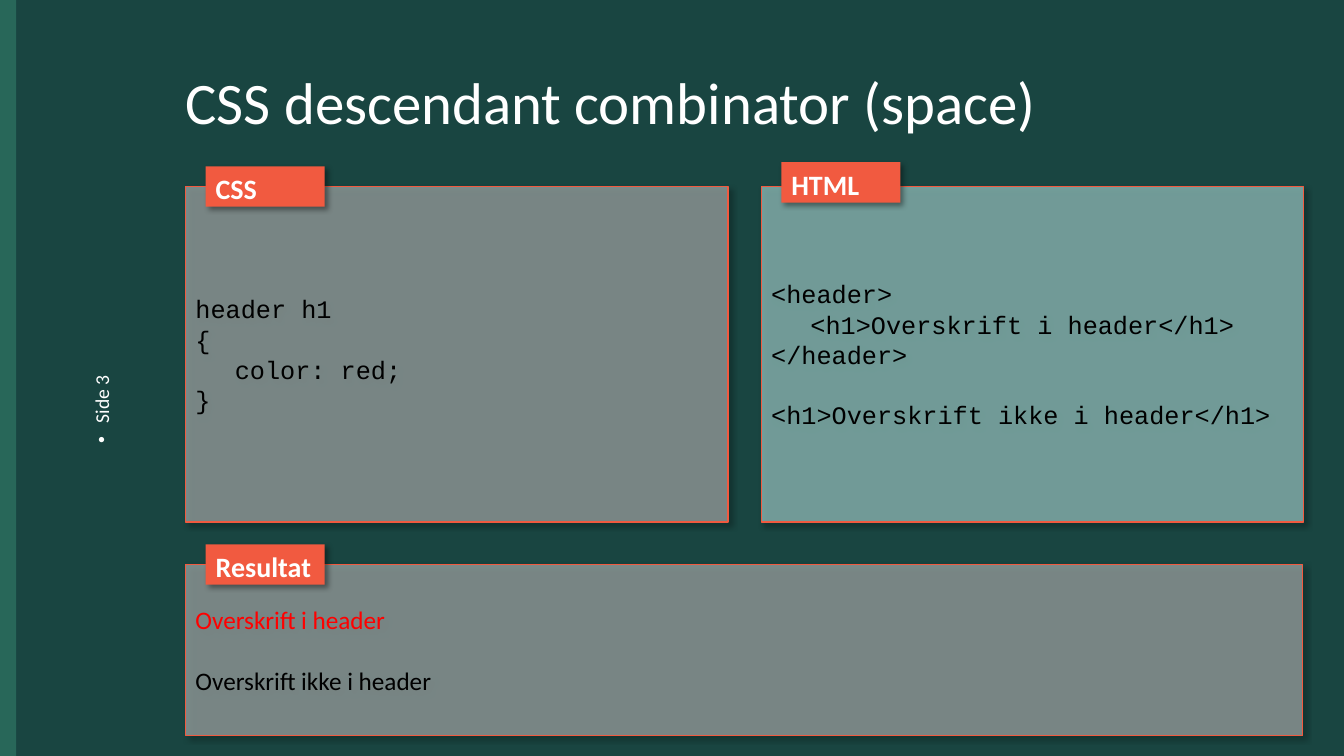
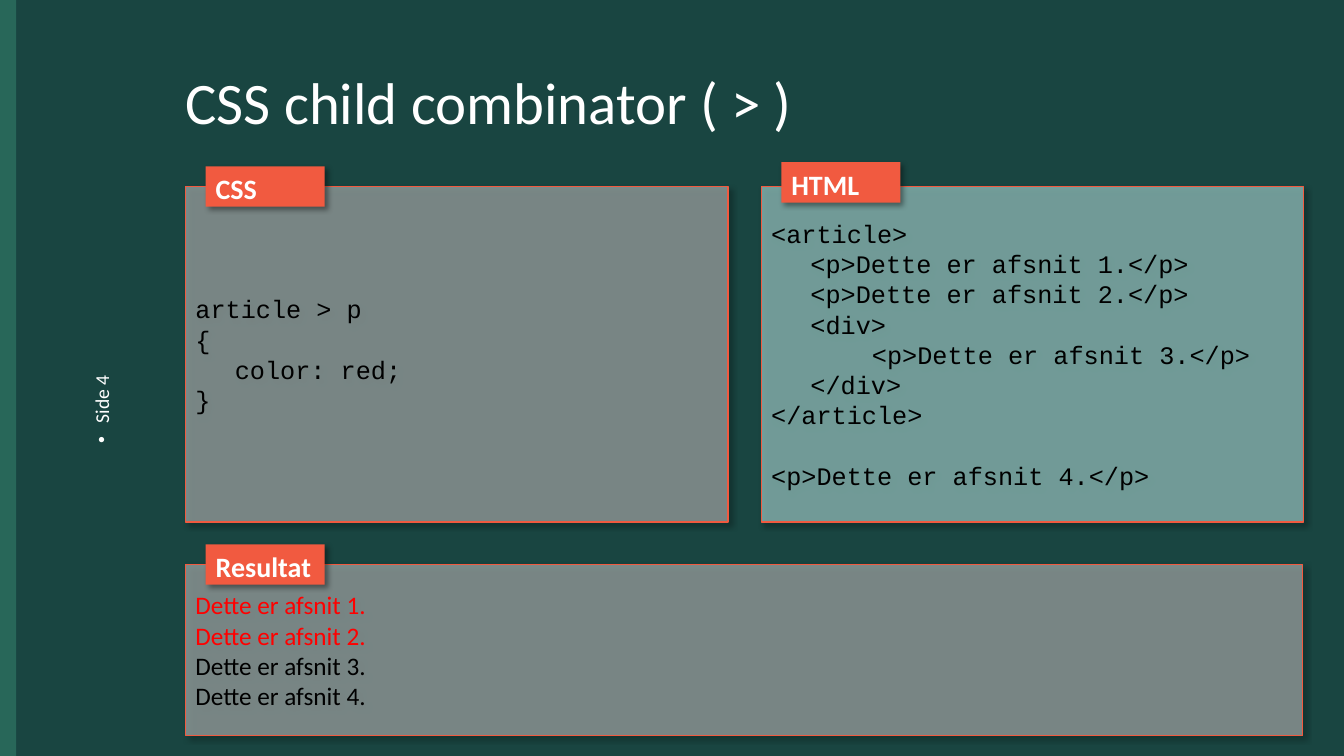
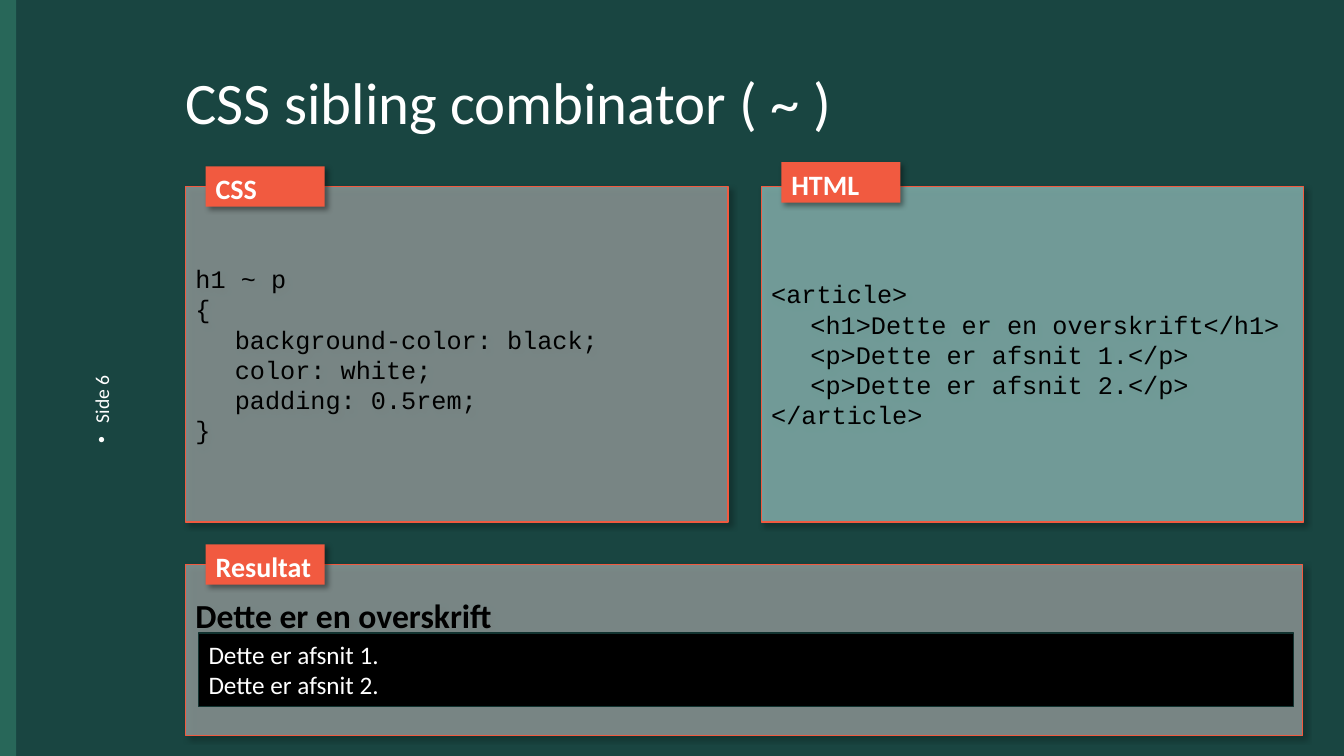
import dataclasses

import pptx
import pptx.dml.color
import pptx.enum.shapes
import pptx.enum.text
import pptx.oxml.ns
import pptx.util
from lxml import etree

Inches = pptx.util.Inches
Pt = pptx.util.Pt
RGBColor = pptx.dml.color.RGBColor
Anchor = pptx.enum.text.MSO_ANCHOR
qn = pptx.oxml.ns.qn

# Shared colours and fonts
BACKGROUND = RGBColor(0x19, 0x45, 0x41)
STRIP = RGBColor(0x28, 0x67, 0x59)
ACCENT = RGBColor(0xF1, 0x5A, 0x40)
GREY = RGBColor(0xBF, 0xBF, 0xBF)
MINT = RGBColor(0xB3, 0xE3, 0xDF)
DARK_EDGE = RGBColor(0x12, 0x33, 0x30)
RED = RGBColor(0xFF, 0x00, 0x00)
BLACK = RGBColor(0x00, 0x00, 0x00)
WHITE = RGBColor(0xFF, 0xFF, 0xFF)
BODY_FONT = "Calibri"
CODE_FONT = "Courier New"

# Shared grid, in inches
LEFT = 1.84
COLUMN_WIDTH = 5.38
HTML_LEFT = 7.55
FULL_WIDTH = 11.08
CODE_TOP, CODE_HEIGHT = 1.85, 3.33
RESULT_TOP, RESULT_HEIGHT = 5.6, 1.7
INDENTS = (0, 0.39, 1.0)
LINE_RATIO = 1.2


@dataclasses.dataclass
class Line:
    text: str
    level: int = 0
    gap: bool = False
    color: RGBColor = BLACK
    size: float = 18
    bold: bool = False


def write_text(para, text, size=18, font=BODY_FONT, color=BLACK, bold=False):
    span = para.add_run()
    span.text = text
    span.font.size = Pt(size)
    span.font.name = font
    span.font.color.rgb = color
    span.font.bold = bold
    para.alignment = pptx.enum.text.PP_ALIGN.LEFT


def set_frame(box, anchor, margin=None):
    frame = box.text_frame
    frame.word_wrap = True
    frame.auto_size = pptx.enum.text.MSO_AUTO_SIZE.NONE
    frame.vertical_anchor = anchor
    if margin is not None:
        frame.margin_left = frame.margin_right = Inches(margin)
        frame.margin_top = frame.margin_bottom = Inches(margin)
    return frame


def write_lines(frame, lines, font=BODY_FONT, fixed_spacing=True):
    for index, line in enumerate(lines):
        para = frame.add_paragraph() if index else frame.paragraphs[0]
        write_text(para, line.text, size=line.size, font=font,
                   color=line.color, bold=line.bold)
        pitch = Pt(line.size * LINE_RATIO)
        if fixed_spacing:
            para.line_spacing = pitch
        if line.gap:
            para.space_before = pitch
        if line.level:
            indent = Inches(INDENTS[line.level])
            para._p.get_or_add_pPr().set("marL", str(indent))


def add_rect(page, left, top, width, height, fill, edge=None):
    box = page.shapes.add_shape(
        pptx.enum.shapes.MSO_SHAPE.RECTANGLE,
        Inches(left), Inches(top), Inches(width), Inches(height))
    box.shadow.inherit = False
    box.fill.solid()
    box.fill.fore_color.rgb = fill
    if edge is None:
        box.line.fill.background()
    else:
        box.line.color.rgb = edge
        box.line.width = Pt(1)
    return box


def add_alpha(color_node, percent):
    etree.SubElement(color_node, qn("a:alpha"), val=str(percent * 1000))


def add_shadow(box):
    effects = box.element.spPr.find(qn("a:effectLst"))
    shadow = etree.SubElement(
        effects, qn("a:outerShdw"), blurRad=str(Pt(4)), dist=str(Pt(3)),
        dir=str(45 * 60000), algn="tl", rotWithShape="0")
    color_node = etree.SubElement(shadow, qn("a:srgbClr"), val=str(BLACK))
    add_alpha(color_node, 40)


def add_panel(page, left, top, width, height, fill, lines, font=BODY_FONT):
    box = add_rect(page, left, top, width, height, fill, ACCENT)
    add_alpha(box.element.spPr.find(qn("a:solidFill"))[0], 59)
    add_shadow(box)
    frame = set_frame(box, Anchor.MIDDLE)
    write_lines(frame, lines, font=font)
    return frame


def add_tag(page, left, top, text):
    box = add_rect(page, left, top, 1.18, 0.4, ACCENT)
    add_shadow(box)
    frame = set_frame(box, Anchor.TOP)
    write_text(frame.paragraphs[0], text, size=20, color=WHITE, bold=True)


def add_title(page, text):
    title = page.shapes.title
    title.left, title.top = Inches(LEFT), Inches(0.49)
    title.width, title.height = Inches(FULL_WIDTH), Inches(0.87)
    para = set_frame(title, Anchor.BOTTOM, margin=0).paragraphs[0]
    write_text(para, text, size=42, color=WHITE)
    para.line_spacing = 0.9


def add_page_label(page, number):
    box = page.shapes.add_textbox(
        Inches(0.4), Inches(3.64), Inches(1.21), Inches(0.31))
    box.rotation = 270
    para = set_frame(box, Anchor.MIDDLE, margin=0).paragraphs[0]
    write_text(para, f"Side {number}", size=14, color=WHITE)
    settings = para._p.get_or_add_pPr()
    settings.set("marL", str(Inches(0.2)))
    settings.set("indent", str(-Inches(0.2)))
    etree.SubElement(settings, qn("a:buFont"), typeface="Arial")
    etree.SubElement(settings, qn("a:buChar"), char="•")


def style_layout(layout, page):
    """Give the layout its dark background and the strip at the left edge."""
    layout.background.fill.solid()
    layout.background.fill.fore_color.rgb = BACKGROUND
    for holder in list(layout.placeholders)[1:]:
        layout.shapes.element.remove(holder.element)
    strip = add_rect(page, 0, 0, 0.16, 7.5, STRIP)
    layout.shapes.element.insert(2, strip.element)


def add_combinator_page(page, title, number, css, html, result):
    add_title(page, title)
    add_page_label(page, number)
    add_panel(page, LEFT, CODE_TOP, COLUMN_WIDTH, CODE_HEIGHT, GREY, css,
              font=CODE_FONT)
    add_panel(page, HTML_LEFT, CODE_TOP, COLUMN_WIDTH, CODE_HEIGHT, MINT, html,
              font=CODE_FONT)
    result_frame = add_panel(page, LEFT, RESULT_TOP, FULL_WIDTH, RESULT_HEIGHT,
                             GREY, result)
    add_tag(page, LEFT + 0.2, CODE_TOP - 0.2, "CSS")
    add_tag(page, HTML_LEFT + 0.2, CODE_TOP - 0.24, "HTML")
    add_tag(page, LEFT + 0.2, RESULT_TOP - 0.2, "Resultat")
    return result_frame


def color_rule(selector):
    return [Line(selector), Line("{"), Line("color: red;", 1), Line("}")]


def main():
    deck = pptx.Presentation()
    deck.slide_width, deck.slide_height = Inches(13.33), Inches(7.5)
    layout = deck.slide_layouts[5]
    pages = [deck.slides.add_slide(layout) for _ in range(3)]
    style_layout(layout, pages[0])

    # Descendant combinator
    add_combinator_page(
        pages[0], "CSS descendant combinator (space)", 3,
        css=color_rule("header h1"),
        html=[Line("<header>"),
              Line("<h1>Overskrift i header</h1>", 1),
              Line("</header>"),
              Line("<h1>Overskrift ikke i header</h1>", gap=True)],
        result=[Line("Overskrift i header", color=RED),
                Line("Overskrift ikke i header", gap=True)])

    # Child combinator
    add_combinator_page(
        pages[1], "CSS child combinator ( > )", 4,
        css=color_rule("article > p"),
        html=[Line("<article>"),
              Line("<p>Dette er afsnit 1.</p>", 1),
              Line("<p>Dette er afsnit 2.</p>", 1),
              Line("<div>", 1),
              Line("<p>Dette er afsnit 3.</p>", 2),
              Line("</div>", 1),
              Line("</article>"),
              Line("<p>Dette er afsnit 4.</p>", gap=True)],
        result=[Line(f"Dette er afsnit {count}.",
                     color=RED if count <= 2 else BLACK)
                for count in range(1, 5)])

    # Sibling combinator
    result_frame = add_combinator_page(
        pages[2], "CSS sibling combinator ( ~ )", 6,
        css=[Line("h1 ~ p"),
             Line("{"),
             Line("background-color: black;", 1),
             Line("color: white;", 1),
             Line("padding: 0.5rem;", 1),
             Line("}")],
        html=[Line("<article>"),
              Line("<h1>Dette er en overskrift</h1>", 1),
              Line("<p>Dette er afsnit 1.</p>", 1),
              Line("<p>Dette er afsnit 2.</p>", 1),
              Line("</article>")],
        result=[Line("Dette er en overskrift", size=24, bold=True)])
    result_frame.margin_bottom = Inches(0.75)
    black_box = add_rect(pages[2], 1.97, 6.28, 10.86, 0.73, BLACK, DARK_EDGE)
    write_lines(set_frame(black_box, Anchor.MIDDLE),
                [Line(f"Dette er afsnit {count}.", color=WHITE)
                 for count in (1, 2)],
                fixed_spacing=False)

    deck.save("out.pptx")


if __name__ == "__main__":
    main()
